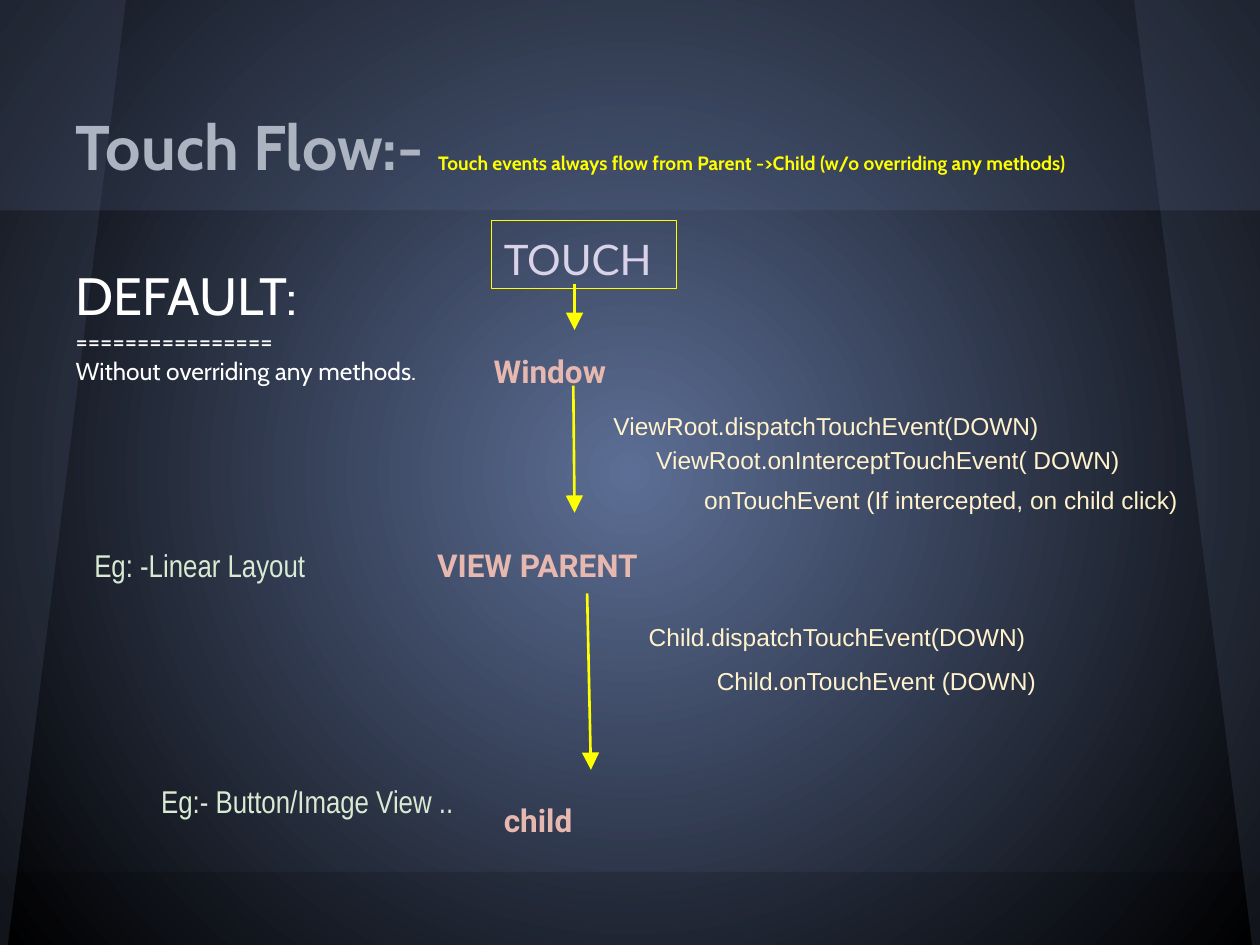
from lxml import etree
from pptx import Presentation, util as u
from pptx.dml.color import RGBColor
from pptx.enum import shapes, text
from pptx.oxml.ns import qn

W, H = 10, 7.5
YELLOW, PINK, GREEN, CREAM = "FFFF00", "E6B8AF", "D9EAD3", "FFF2CC"

# Content
TITLE = [("Touch Flow:- ", dict(size=36, name="Cabin", bold=True, color="ACB4C2")),
         ("Touch events always flow from Parent ->Child (w/o overriding any methods)",
          dict(size=11, name="Cabin", bold=True, color=YELLOW))]
BODY = [("DEFAULT:", 30), ("================", 14), ("Without overriding any methods.", 14)]

STYLES = {
    "stage": dict(size=18, name="Roboto", bold=True, color=PINK),
    "example": dict(size=18, name="Arial Narrow", color=GREEN),
    "call": dict(size=14, name="Arial", color=CREAM),
}
LABELS = [  # style, words, (left, top, width, height)
    ("stage", "Window", (3.82, 2.69, 2.19, 0.5)),
    ("stage", "VIEW PARENT", (3.37, 4.23, 3.08, 0.74)),
    ("stage", "child", (3.9, 6.26, 2.52, 0.79)),
    ("example", "Eg: -Linear Layout", (0.65, 4.23, 2.96, 0.25)),
    ("example", "Eg:- Button/Image View ..", (1.18, 6.11, 2.72, 0.46)),
    ("call", "ViewRoot.dispatchTouchEvent(DOWN)", (4.77, 3.19, 4.63, 0.14)),
    ("call", "ViewRoot.onInterceptTouchEvent( DOWN)", (5.11, 3.47, 4.73, 0.13)),
    ("call", "onTouchEvent (If intercepted, on child click)", (5.49, 3.75, 4.51, 0.2)),
    ("call", "Child.dispatchTouchEvent(DOWN)", (5.05, 4.85, 4.05, 0.17)),
    ("call", "Child.onTouchEvent (DOWN)", (5.59, 5.19, 3.51, 0.19)),
]
ARROWS = [(4.56, 2.25, 4.56, 2.62), (4.55, 3.06, 4.56, 4.07), (4.66, 4.71, 4.69, 6.11)]
BANDS = [(0, 1.67, "5C6E95", 20), (6.92, 0.58, "000000", 15)]  # top, height, colour, opacity
SIDES = [(0.71, 0.43, "5A6378"), (0.55, 0.33, "5C6E95")]  # width at top, at bottom, colour


def rgb(value):
    return RGBColor.from_string(value)


def inches(values):
    return [u.Inches(v) for v in values]


def add_run(p, words, style):
    r = p.add_run()
    r.text = words
    for key, value in style.items():
        if key == "color":
            r.font.color.rgb = rgb(value)
        else:
            setattr(r.font, key, u.Pt(value) if key == "size" else value)


def frame(sp, anchor=text.MSO_ANCHOR.TOP):
    tf = sp.text_frame
    settings = dict(word_wrap=True, auto_size=text.MSO_AUTO_SIZE.NONE, vertical_anchor=anchor)
    settings.update({"margin_" + side: u.Inches(0.1) for side in ("left", "top", "right", "bottom")})
    for key, value in settings.items():
        setattr(tf, key, value)
    return tf


def place(sp, box):
    sp.left, sp.top, sp.width, sp.height = inches(box)


def flush_left(p):
    p.alignment = text.PP_ALIGN.LEFT
    p.space_before = u.Pt(0)
    pPr = p._p.get_or_add_pPr()
    pPr.set("marL", "0")
    pPr.set("indent", "0")
    etree.SubElement(pPr, qn("a:buNone"))


def tint(sp, color, opacity):
    sp.shadow.inherit = False
    sp.line.fill.background()
    sp.fill.solid()
    sp.fill.fore_color.rgb = rgb(color)
    clr = sp._element.spPr.find(qn("a:solidFill"))[0]
    etree.SubElement(clr, qn("a:alpha"), val=str(opacity * 1000))


prs = Presentation()
prs.slide_width, prs.slide_height = inches((W, H))
s = prs.slides.add_slide(prs.slide_layouts[1])

# Radial background
fill = s.background.fill
fill.gradient()
for stop, position, color in zip(fill.gradient_stops, (0, 1), ("5C6E95", "000000")):
    stop.position = position
    stop.color.rgb = rgb(color)
grad = s._element.find(".//" + qn("a:gradFill"))
grad.remove(grad.find(qn("a:lin")))
radial = etree.SubElement(grad, qn("a:path"), path="circle")
etree.SubElement(radial, qn("a:fillToRect"), {side: "50000" for side in "ltrb"})

# Translucent bands and mirrored side panels
for top, height, color, opacity in BANDS:
    band = s.shapes.add_shape(shapes.MSO_SHAPE.RECTANGLE, *inches((0, top, W, height)))
    tint(band, color, opacity)
for edge, inward in ((0, 1), (W, -1)):
    for wide, narrow, color in SIDES:
        fb = s.shapes.build_freeform(edge, 0, scale=u.Inches(1))
        fb.add_line_segments([(edge + inward * wide, 0), (edge + inward * narrow, H), (edge, H)])
        tint(fb.convert_to_shape(), color, 10)

# Title and body, brought in front of the bands
title, body = s.shapes.title, s.placeholders[1]
for sp in (title, body):
    s.shapes._spTree.append(sp._element)
place(title, (0.5, 0.3, 9, 1.25))
p = frame(title, text.MSO_ANCHOR.BOTTOM).paragraphs[0]
flush_left(p)
for words, style in TITLE:
    add_run(p, words, style)

place(body, (0.5, 1.99, 9, 5.19))
tf = frame(body)
for i, (words, size) in enumerate(BODY):
    p = tf.add_paragraph() if i else tf.paragraphs[0]
    flush_left(p)
    add_run(p, words, dict(size=size, name="Cabin", color="FFFFFF"))

# Labels
for kind, words, box in LABELS:
    tf = frame(s.shapes.add_textbox(*inches(box)))
    add_run(tf.paragraphs[0], words, STYLES[kind])

# Start box
start = s.shapes.add_shape(shapes.MSO_SHAPE.RECTANGLE, *inches((3.9, 1.75, 1.47, 0.54)))
start.shadow.inherit = False
start.fill.background()
start.line.color.rgb = rgb(YELLOW)
start.line.width = u.Pt(0.75)
p = frame(start).paragraphs[0]
p.alignment = text.PP_ALIGN.LEFT
add_run(p, "TOUCH", dict(size=24, name="Lato", color="D9D2E9"))

# Flow arrows
for ends in ARROWS:
    arrow = s.shapes.add_connector(shapes.MSO_CONNECTOR.STRAIGHT, *inches(ends))
    arrow.line.color.rgb = rgb(YELLOW)
    arrow.line.width = u.Pt(1.5)
    etree.SubElement(arrow.line._get_or_add_ln(), qn("a:tailEnd"), type="triangle", w="lg", len="lg")
    etree.SubElement(arrow._element.spPr, qn("a:effectLst"))

prs.save("out.pptx")
